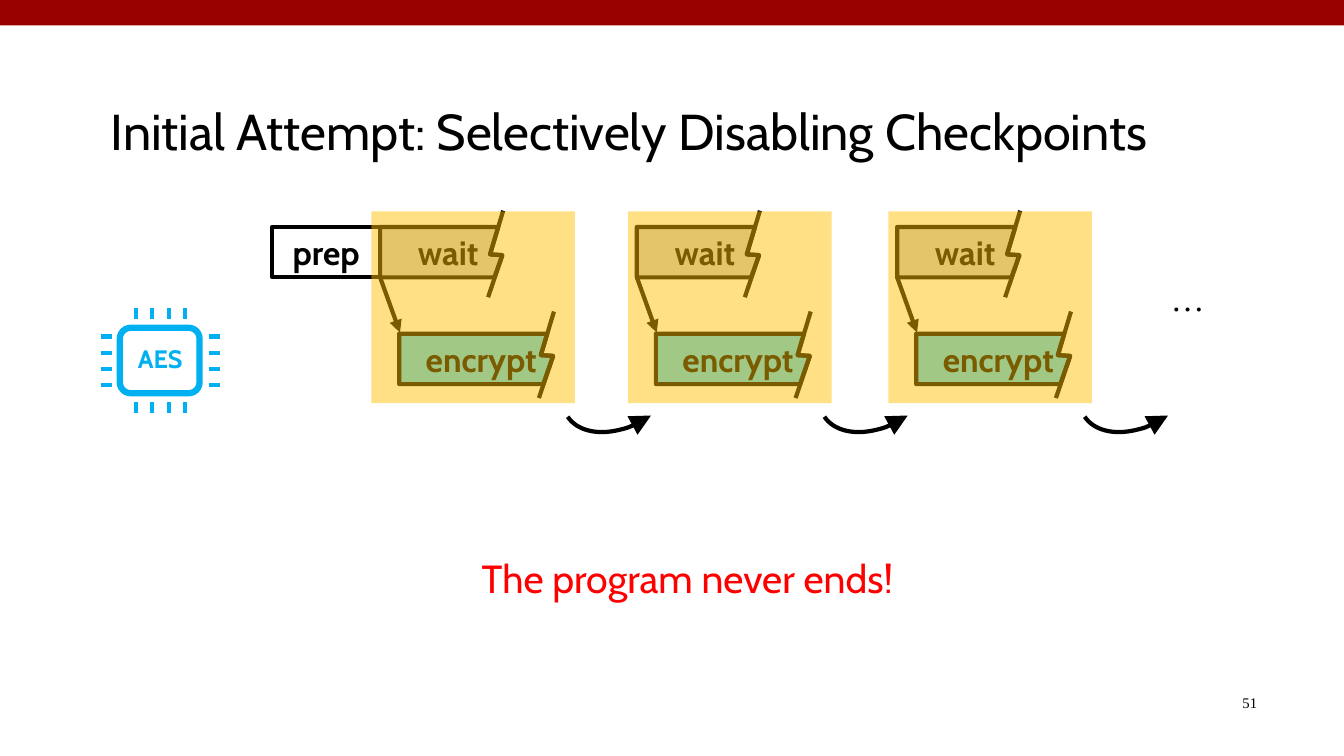
from dataclasses import dataclass

from lxml import etree
from pptx import Presentation
from pptx import util as u
from pptx.dml import color
from pptx.enum import shapes, text
from pptx.oxml import ns


@dataclass(frozen=True)
class Theme:
    bar: str = "990000"
    ink: str = "000000"
    paper: str = "FFFFFF"
    chip: str = "00B0F0"
    wait: str = "CCCCCC"
    encrypt: str = "4BD0FF"
    highlight: str = "FFC000"
    alert: str = "FF0000"
    title_size: float = 36
    message_size: float = 28
    label_size: float = 24
    chip_size: float = 18
    number_size: float = 10.5
    stroke: float = 3
    chip_stroke: float = 4.5
    sans: str = "Cabin"
    serif: str = "Times New Roman"


theme = Theme()
preset = shapes.MSO_SHAPE
align = text.PP_ALIGN
anchor = text.MSO_ANCHOR

presentation = Presentation()
presentation.slide_width, presentation.slide_height = u.Cm(33.87), u.Cm(19.05)
slide = presentation.slides.add_slide(presentation.slide_layouts[6])


def add_box(kind, place, fill=None, line=None, width=theme.stroke, rotation=0,
            words="", size=theme.label_size, ink=theme.ink, bold=True, font=theme.sans,
            alignment=align.CENTER, vertical=anchor.MIDDLE, insets=(0.25, 0.25)):
    """Add a preset shape, a "text" box or an "outline" through points; lengths in cm."""
    if kind == "outline":
        points = [(u.Cm(x), u.Cm(y)) for x, y in place]
        builder = slide.shapes.build_freeform(*points[0])
        shape = builder.add_line_segments(points[1:], close=True).convert_to_shape()
    else:
        place = [u.Cm(length) for length in place]
        if kind == "text":
            shape = slide.shapes.add_textbox(*place)
        else:
            shape = slide.shapes.add_shape(kind, *place)
            shape.rotation = rotation
    if kind != "text":
        shape.shadow.inherit = False
        for part, tint in ((shape.fill, fill), (shape.line.fill, line)):
            if tint:
                part.solid()
                part.fore_color.rgb = color.RGBColor.from_string(tint)
            else:
                part.background()
        if line:
            shape.line.width = u.Pt(width)
    if words:
        frame = shape.text_frame
        frame.word_wrap, frame.vertical_anchor = True, vertical
        frame.margin_left, frame.margin_right = [u.Cm(inset) for inset in insets]
        paragraph = frame.paragraphs[0]
        paragraph.text, paragraph.alignment = words, alignment
        formats = {"name": font, "size": u.Pt(size), "bold": bold}
        for name, value in formats.items():
            setattr(paragraph.runs[0].font, name, value)
        paragraph.runs[0].font.color.rgb = color.RGBColor.from_string(ink)
    return shape


def add_line(start, end, tint=theme.ink):
    """Add a straight line between two points in cm."""
    connector = slide.shapes.add_connector(
        shapes.MSO_CONNECTOR.STRAIGHT, *[u.Cm(length) for length in (*start, *end)])
    connector.line.width = u.Pt(theme.stroke)
    connector.line.color.rgb = color.RGBColor.from_string(tint)
    etree.SubElement(connector._element.spPr, ns.qn("a:effectLst"))
    return connector


# Top bar and title
add_box(preset.RECTANGLE, (0, 0, 33.87, 0.64), fill=theme.bar)
add_box("text", (2.54, 1.7, 28.78, 3.18), bold=False, alignment=align.LEFT,
        words="Initial Attempt: Selectively Disabling Checkpoints", size=theme.title_size)

# AES chip with four pins on each side
add_box(preset.FLOWCHART_ALTERNATE_PROCESS, (3.02, 8.26, 2.01, 1.65),
        line=theme.chip, width=theme.chip_stroke)
for pin in range(4):
    x, y = 3.43 + 0.41 * pin, 8.48 + 0.41 * pin
    for top in (7.75, 10.13):
        add_line((x, top), (x, top + 0.28), theme.chip)
    for left in (2.54, 5.26):
        add_line((left, y), (left + 0.28, y), theme.chip)
add_box("text", (2.92, 8.53, 2.24, 1.02), words="AES", size=theme.chip_size,
        ink=theme.chip, vertical=anchor.TOP)

# Ellipsis and slide number
add_box("text", (29.26, 6.88, 1.88, 1.27), words="…", font=theme.serif, bold=False,
        alignment=align.LEFT, vertical=anchor.TOP)
add_box("text", (24.87, 17.35, 7.06, 1.27), words="51", font=theme.serif, bold=False,
        size=theme.number_size, alignment=align.RIGHT, vertical=anchor.TOP)

# Preparation, then three interrupted runs
add_box(preset.RECTANGLE, (6.86, 5.72, 2.72, 1.27), fill=theme.paper,
        line=theme.ink, words="prep")
for left in (9.58, 16.05, 22.61):
    # Two tasks, each with a torn right edge
    for words, tint, x, y, tear_x, tear_y, inset in (
            ("encrypt", theme.encrypt, left + 0.48, 8.41, left + 4.38, 7.85, 0.67),
            ("wait", theme.wait, left, 5.72, left + 3.1, 5.31, 0.95)):
        bottom = y + 1.27
        upper_x = tear_x - 0.3 * (y - tear_y)
        lower_x = tear_x - 0.38 + 0.32 * (tear_y + 2.18 - bottom)
        notch, tooth = (tear_x - 0.33, tear_y + 1.1), (tear_x - 0.02, tear_y + 1.12)
        add_box("outline", ((x, y), (upper_x, y), notch, tooth, (lower_x, bottom), (x, bottom)),
                fill=tint, line=theme.ink, words=words, alignment=align.LEFT,
                insets=(inset, 0))
        add_line((tear_x, tear_y), notch)
        add_line(notch, tooth)
        add_line(tooth, (tear_x - 0.38, tear_y + 2.18))

    # Start and restart arrows
    start = add_line((left, 6.99), (left + 0.5, 8.38))
    restart = add_box(preset.ARC, (left + 4.42, 8.36, 3.51, 2.31),
                      line=theme.ink, rotation=145.8)
    for arrow, end, size in ((start, "a:tailEnd", "med"), (restart, "a:headEnd", "lg")):
        etree.SubElement(arrow.line._get_or_add_ln(), ns.qn(end),
                         type="triangle", w=size, len=size)

    # Translucent highlight: checkpoints disabled
    highlight = add_box(preset.RECTANGLE, (left - 0.22, 5.33, 5.13, 4.83),
                        fill=theme.highlight)
    tint = highlight._element.spPr.find(".//" + ns.qn("a:srgbClr"))
    etree.SubElement(tint, ns.qn("a:alpha"), val="48000")

# Conclusion
add_box("text", (11.89, 13.84, 13.82, 1.45), words="The program never ends!", bold=False,
        size=theme.message_size, ink=theme.alert, alignment=align.LEFT,
        vertical=anchor.TOP)

presentation.save("out.pptx")
